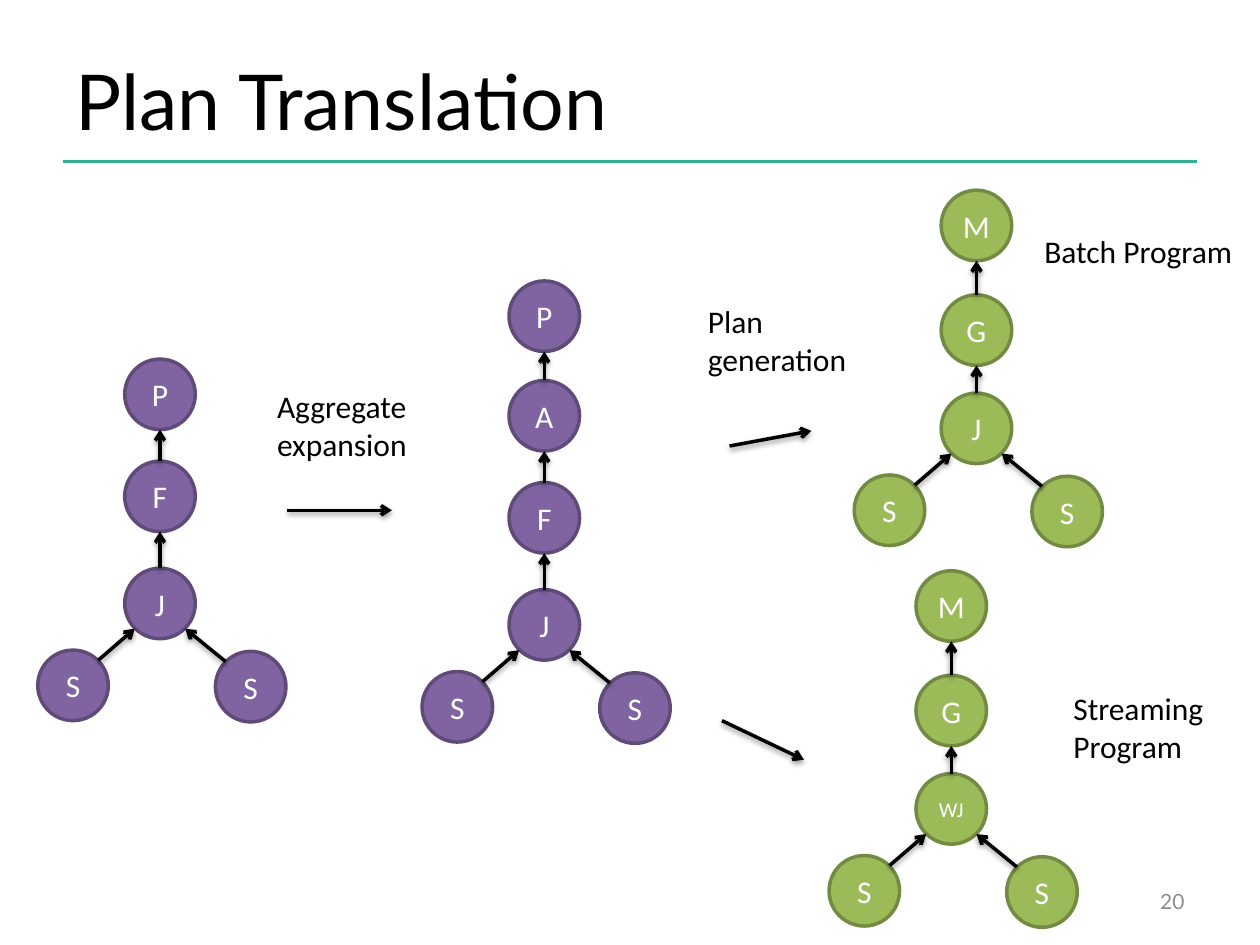
from dataclasses import dataclass
from itertools import pairwise

from lxml.etree import SubElement
from pptx import Presentation
from pptx.dml.color import RGBColor as RGB
from pptx.enum.shapes import MSO_CONNECTOR as CXN, MSO_SHAPE as SHAPE
from pptx.enum.text import MSO_ANCHOR as ANCHOR, MSO_AUTO_SIZE as FIT, PP_ALIGN as ALIGN
from pptx.oxml.ns import qn
from pptx.util import Emu, Pt

PX = 9144  # EMU per px, 100 px to the inch


@dataclass(frozen=True)
class Theme:
    black: RGB = RGB(0x00, 0x00, 0x00)
    white: RGB = RGB(0xFF, 0xFF, 0xFF)
    grey: RGB = RGB(0x8C, 0x8C, 0x8C)
    rule: RGB = RGB(0x34, 0xAD, 0x91)
    logical: tuple[RGB, RGB] = (RGB(0x80, 0x64, 0xA2), RGB(0x5F, 0x4A, 0x78))
    physical: tuple[RGB, RGB] = (RGB(0x9B, 0xBB, 0x59), RGB(0x73, 0x8A, 0x42))
    heading_font: str = "Lato"
    body_font: str = "Calibri"
    title: int = 44
    body: int = 18
    small: int = 12
    stroke: int = 2


@dataclass(frozen=True)
class Label:
    text: str
    x: int
    y: int
    w: int
    h: int


@dataclass(frozen=True)
class Arrow:
    x1: int
    y1: int
    x2: int
    y2: int


@dataclass(frozen=True)
class Tree:
    """A plan: a trunk of (operator, top) from the join upwards, over two sources."""
    x: int
    trunk: tuple[tuple[str, int], ...]
    colors: tuple[RGB, RGB]


T = Theme()
NODE = 56          # node diameter
DIAG = 8           # inset of a circle's 45 degree point
SOURCES = ((-69, 65, NODE - DIAG, DIAG), (72, 66, DIAG, NODE - DIAG))

TREES = (
    Tree(99, (("J", 451), ("F", 366), ("P", 285)), T.logical),
    Tree(404, (("J", 468), ("F", 383), ("A", 302), ("P", 223)), T.logical),
    Tree(747, (("J", 312), ("G", 234), ("M", 151)), T.physical),
    Tree(727, (("WJ", 614), ("G", 536), ("M", 453)), T.physical),
)
STEPS = (
    Arrow(228, 405, 311, 405),
    Arrow(579, 354, 644, 342),
    Arrow(573, 572, 638, 603),
)
LABELS = (
    Label("Aggregate\nexpansion", 210, 302, 125, 71),
    Label("Plan\ngeneration", 552, 235, 132, 71),
    Label("Batch Program", 819, 179, 172, 40),
    Label("Streaming\nProgram", 842, 542, 125, 71),
)


def px(*values: int) -> list[Emu]:
    return [Emu(v * PX) for v in values]


def style_text(tf, size: int, color: RGB, font: str, align=ALIGN.LEFT) -> None:
    for p in tf.paragraphs:
        p.alignment = align
        for r in p.runs:
            r.font.size = Pt(size)
            r.font.name = font
            r.font.color.rgb = color


def add_text(slide, label: Label):
    tf = slide.shapes.add_textbox(*px(label.x, label.y, label.w, label.h)).text_frame
    tf.text = label.text
    return tf


def add_heading(slide, label: Label, size: int, color: RGB, align=ALIGN.LEFT) -> None:
    tf = add_text(slide, label)
    tf.word_wrap = True
    tf.vertical_anchor = ANCHOR.MIDDLE
    style_text(tf, size, color, T.heading_font, align)


def add_label(slide, label: Label) -> None:
    tf = add_text(slide, label)
    tf.word_wrap = False
    tf.auto_size = FIT.SHAPE_TO_FIT_TEXT
    style_text(tf, T.body, T.black, T.body_font)


def add_line(slide, line: Arrow, color: RGB):
    """Draw a plain line; return it with its empty effect list."""
    cxn = slide.shapes.add_connector(CXN.STRAIGHT, *px(line.x1, line.y1, line.x2, line.y2))
    cxn.line.color.rgb = color
    cxn.line.width = Pt(T.stroke)
    return cxn, SubElement(cxn._element.spPr, qn("a:effectLst"))


def add_arrow(slide, arrow: Arrow) -> None:
    cxn, effects = add_line(slide, arrow, T.black)
    SubElement(cxn.line._get_or_add_ln(), qn("a:tailEnd"), type="arrow")
    shadow = SubElement(effects, qn("a:outerShdw"), blurRad="40000", dist="20000",
                        dir="5400000", rotWithShape="0")
    tint = SubElement(shadow, qn("a:srgbClr"), val=str(T.black))
    SubElement(tint, qn("a:alpha"), val="38000")


def add_node(slide, name: str, x: int, y: int, colors: tuple[RGB, RGB]) -> None:
    sp = slide.shapes.add_shape(SHAPE.OVAL, *px(x, y, NODE, NODE))
    sp.shadow.inherit = False
    sp.fill.solid()
    sp.fill.fore_color.rgb, sp.line.color.rgb = colors
    sp.line.width = Pt(T.stroke)
    tf = sp.text_frame
    tf.text = name
    tf.word_wrap = False
    tf.vertical_anchor = ANCHOR.MIDDLE
    size = T.body if len(name) == 1 else T.small
    style_text(tf, size, T.white, T.body_font, ALIGN.CENTER)


def add_tree(slide, tree: Tree) -> None:
    for name, top in tree.trunk:
        add_node(slide, name, tree.x, top, tree.colors)
    middle = tree.x + NODE // 2
    for (_, lower), (_, upper) in pairwise(tree.trunk):
        add_arrow(slide, Arrow(middle, lower, middle, upper + NODE))
    # Sources feed the join from both sides
    join_top = tree.trunk[0][1]
    for dx, dy, start, end in SOURCES:
        x, y = tree.x + dx, join_top + dy
        add_node(slide, "S", x, y, tree.colors)
        add_arrow(slide, Arrow(x + start, y + DIAG, tree.x + end, join_top + NODE - DIAG))


def main() -> None:
    prs = Presentation()
    prs.slide_width, prs.slide_height = px(1000, 750)
    slide = prs.slides.add_slide(prs.slide_layouts[6])

    # Title, rule and page number
    add_line(slide, Arrow(50, 128, 950, 128), T.rule)
    add_heading(slide, Label("Plan Translation", 50, 30, 817, 98), T.title, T.black)
    add_heading(slide, Label("20", 717, 695, 233, 40), T.small, T.grey, ALIGN.RIGHT)

    # Plans, the steps between them, and captions
    for tree in TREES:
        add_tree(slide, tree)
    for step in STEPS:
        add_arrow(slide, step)
    for label in LABELS:
        add_label(slide, label)

    prs.save("out.pptx")


if __name__ == "__main__":
    main()
